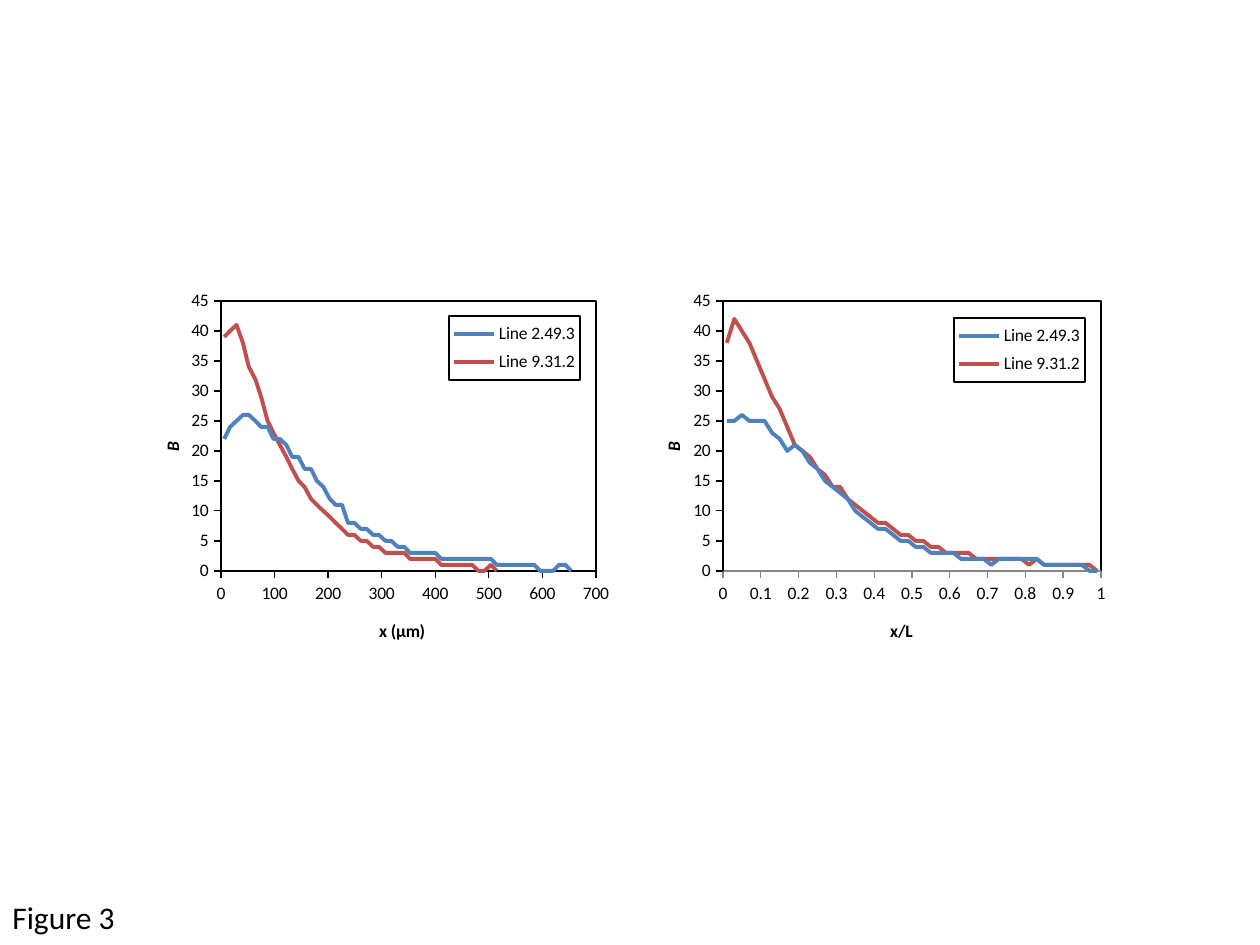
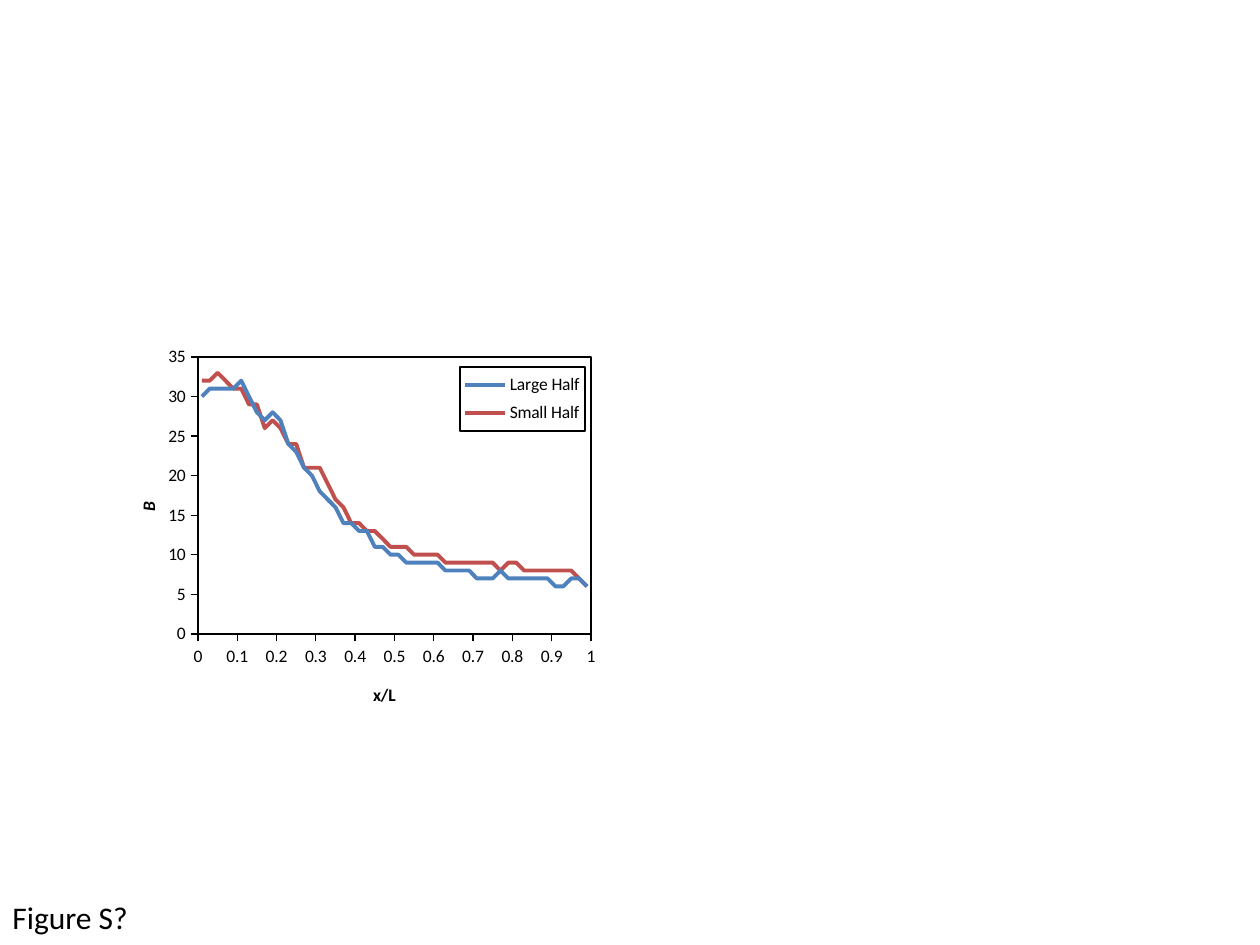
from dataclasses import dataclass

from lxml import etree
from pptx import Presentation
from pptx.chart.data import XyChartData
from pptx.dml.color import RGBColor
from pptx.enum.chart import XL_CHART_TYPE, XL_LEGEND_POSITION, XL_TICK_MARK
from pptx.enum.text import MSO_AUTO_SIZE
from pptx.oxml import parse_xml
from pptx.oxml.ns import nsdecls, qn
from pptx.util import Pt

KIND = XL_CHART_TYPE.XY_SCATTER_SMOOTH_NO_MARKERS
RIGHT = XL_LEGEND_POSITION.RIGHT
OUT = XL_TICK_MARK.OUTSIDE
GROW = MSO_AUTO_SIZE.SHAPE_TO_FIT_TEXT

SCALE = 914400 / 126
FONT = "Calibri"
BLACK, GREY, BLUE, RED = "000000", "868686", "4F81BD", "C0504D"
Box = tuple[int, int, int, int]


@dataclass
class Curve:
    """A named line of measured values."""
    name: str
    color: str
    vals: list[int]


@dataclass
class Graph:
    """A scatter chart; all boxes are in slide pixels."""
    frame: Box
    plot: Box
    legend: Box
    label: str
    spot: Box
    side: Box
    top: int
    end: float
    unit: float
    step: float
    digits: int
    curves: list[Curve]
    base: str = BLACK


@dataclass
class Page:
    """A slide with its caption and charts."""
    label: str
    width: int
    graphs: list[Graph]


def emu(px: float) -> int:
    """Turn pixels into EMU."""
    return round(px * SCALE)


def paint(color: str) -> RGBColor:
    """Turn a hex string into a colour."""
    return RGBColor.from_string(color)


def style(font, size: float = 10, bold: bool = False,
          italic: bool = False, color: str = BLACK) -> None:
    """Format a font."""
    font.name, font.size = FONT, Pt(size)
    font.bold, font.italic = bold, italic
    font.color.rgb = paint(color)


def write(frame, text: str, **form) -> None:
    """Put formatted text in a text frame."""
    run = frame.paragraphs[0].add_run()
    run.text = text
    style(run.font, **form)


def place(node, box: Box, frame: Box, sized: bool = True, inner: bool = False) -> None:
    """Fix a chart part at a pixel box within the chart frame."""
    for old in node.findall(qn("c:layout")):
        node.remove(old)
    layout = parse_xml(f"<c:layout {nsdecls('c')}><c:manualLayout/></c:layout>")
    rules = [("layoutTarget", "inner")] if inner else []
    rules += [("xMode", "edge"), ("yMode", "edge"),
              ("x", (box[0] - frame[0]) / frame[2]),
              ("y", (box[1] - frame[1]) / frame[3])]
    if sized:
        rules += [("w", box[2] / frame[2]), ("h", box[3] / frame[3])]
    for tag, val in rules:
        etree.SubElement(layout[0], qn(f"c:{tag}")).set("val", str(val))
    heads = (qn("c:tx"), qn("c:legendPos"))
    node.insert(sum(child.tag in heads for child in node), layout)


def border():
    """Make a thin black outline for a chart part."""
    return parse_xml(
        f'<c:spPr {nsdecls("c", "a")}><a:noFill/><a:ln w="9525"><a:solidFill>'
        f'<a:srgbClr val="{BLACK}"/></a:solidFill></a:ln></c:spPr>')


def scale(axis, top: float, unit: float, color: str) -> None:
    """Set the range and look of an axis."""
    axis.minimum_scale, axis.maximum_scale, axis.major_unit = 0, top, unit
    axis.has_major_gridlines = False
    axis.major_tick_mark = OUT
    axis.tick_labels.number_format = "General"
    axis.tick_labels.number_format_is_linked = False
    style(axis.tick_labels.font)
    axis.format.line.color.rgb = paint(color)
    axis.format.line.width = Pt(0.75)


def draw(slide, graph: Graph) -> None:
    """Add a scatter chart."""
    data = XyChartData()
    for curve in graph.curves:
        line = data.add_series(curve.name)
        for i, val in enumerate(curve.vals):
            line.add_data_point(round(graph.step * (i + 0.5), graph.digits), val)
    chart = slide.shapes.add_chart(KIND, *map(emu, graph.frame), data).chart
    chart.has_title = False
    style(chart.font)
    for line, curve in zip(chart.plots[0].series, graph.curves):
        line.smooth = True
        line.format.line.color.rgb = paint(curve.color)
        line.format.line.width = Pt(2.25)

    across, up = chart.category_axis, chart.value_axis
    scale(across, graph.end, graph.unit, graph.base)
    scale(up, graph.top, 5, BLACK)
    write(across.axis_title.text_frame, graph.label, bold=True)
    write(up.axis_title.text_frame, "B", bold=True, italic=True)

    chart.has_legend = True
    chart.legend.position = RIGHT
    chart.legend.include_in_layout = False
    style(chart.legend.font)

    root = chart._chartSpace
    plot = root.xpath("c:chart/c:plotArea")[0]
    legend = root.xpath("c:chart/c:legend")[0]
    place(plot, graph.plot, graph.frame, inner=True)
    place(legend, graph.legend, graph.frame)
    for title, spot in zip(plot.xpath("c:valAx/c:title"), (graph.spot, graph.side)):
        place(title, spot, graph.frame, sized=False)
    plot.append(border())
    legend.find(qn("c:overlay")).addnext(border())


def label(slide, text: str, width: int) -> None:
    """Add the figure caption at the lower left."""
    frame = slide.shapes.add_textbox(0, emu(892), emu(width), emu(51)).text_frame
    frame.word_wrap = False
    frame.auto_size = GROW
    write(frame, text, size=18)


RATIO = Graph(
    (627, 284, 633, 378), (723, 301, 378, 270), (954, 318, 131, 64),
    "x/L", (887, 616, 24, 18), (659, 439, 12, 14), 45, 1, 0.1, 0.02, 2,
    [Curve("Line 2.49.3", BLUE, [
        25, 25, 26, 25, 25, 25, 23, 22, 20, 21, 20, 18, 17, 15, 14, 13, 12,
        10, 9, 8, 7, 7, 6, 5, 5, 4, 4, 3, 3, 3, 3, 2, 2, 2, 2, 1, 2, 2, 2, 2,
        2, 2, 1, 1, 1, 1, 1, 1, 0, 0]),
     Curve("Line 9.31.2", RED, [
         38, 42, 40, 38, 35, 32, 29, 27, 24, 21, 20, 19, 17, 16, 14, 14, 12,
         11, 10, 9, 8, 8, 7, 6, 6, 5, 5, 4, 4, 3, 3, 3, 3, 2, 2, 2, 2, 2, 2,
         2, 1, 2, 1, 1, 1, 1, 1, 1, 1, 0])],
    GREY)

LENGTH = Graph(
    (126, 284, 638, 378), (221, 301, 375, 270), (449, 316, 131, 64),
    "x (µm)", (376, 616, 47, 18), (158, 439, 12, 14), 45, 700, 100, 11.58, 0,
    [Curve("Line 2.49.3", BLUE, [
        22, 24, 25, 26, 26, 25, 24, 24, 22, 22, 21, 19, 19, 17, 17, 15, 14,
        12, 11, 11, 8, 8, 7, 7, 6, 6, 5, 5, 4, 4, 3, 3, 3, 3, 3, 2, 2, 2, 2,
        2, 2, 2, 2, 2, 1, 1, 1, 1, 1, 1, 1, 0, 0, 0, 1, 1, 0]),
     Curve("Line 9.31.2", RED, [
         39, 40, 41, 38, 34, 32, 29, 25, 23, 21, 19, 17, 15, 14, 12, 11, 10,
         9, 8, 7, 6, 6, 5, 5, 4, 4, 3, 3, 3, 3, 2, 2, 2, 2, 2, 1, 1, 1, 1, 1,
         1, 0, 0, 1, 0, -2])])

HALVES = Graph(
    (84, 346, 634, 378), (198, 357, 393, 277), (460, 367, 125, 64),
    "x/L", (370, 680, 24, 18), (134, 499, 12, 14), 35, 1, 0.1, 0.02, 2,
    [Curve("Large Half", BLUE, [
        30, 31, 31, 31, 31, 32, 30, 28, 27, 28, 27, 24, 23, 21, 20, 18, 17,
        16, 14, 14, 13, 13, 11, 11, 10, 10, 9, 9, 9, 9, 9, 8, 8, 8, 8, 7, 7,
        7, 8, 7, 7, 7, 7, 7, 7, 6, 6, 7, 7, 6]),
     Curve("Small Half", RED, [
         32, 32, 33, 32, 31, 31, 29, 29, 26, 27, 26, 24, 24, 21, 21, 21, 19,
         17, 16, 14, 14, 13, 13, 12, 11, 11, 11, 10, 10, 10, 10, 9, 9, 9, 9,
         9, 9, 9, 8, 9, 9, 8, 8, 8, 8, 8, 8, 8, 7, 6])])

PAGES = [Page("Figure 3", 129, [RATIO, LENGTH]), Page("Figure S?", 142, [HALVES])]


def main() -> None:
    """Build and save the deck."""
    deck = Presentation()
    deck.slide_width, deck.slide_height = emu(1260), emu(945)
    for page in PAGES:
        slide = deck.slides.add_slide(deck.slide_layouts.get_by_name("Blank"))
        for graph in page.graphs:
            draw(slide, graph)
        label(slide, page.label, page.width)
    deck.save("out.pptx")


main()
